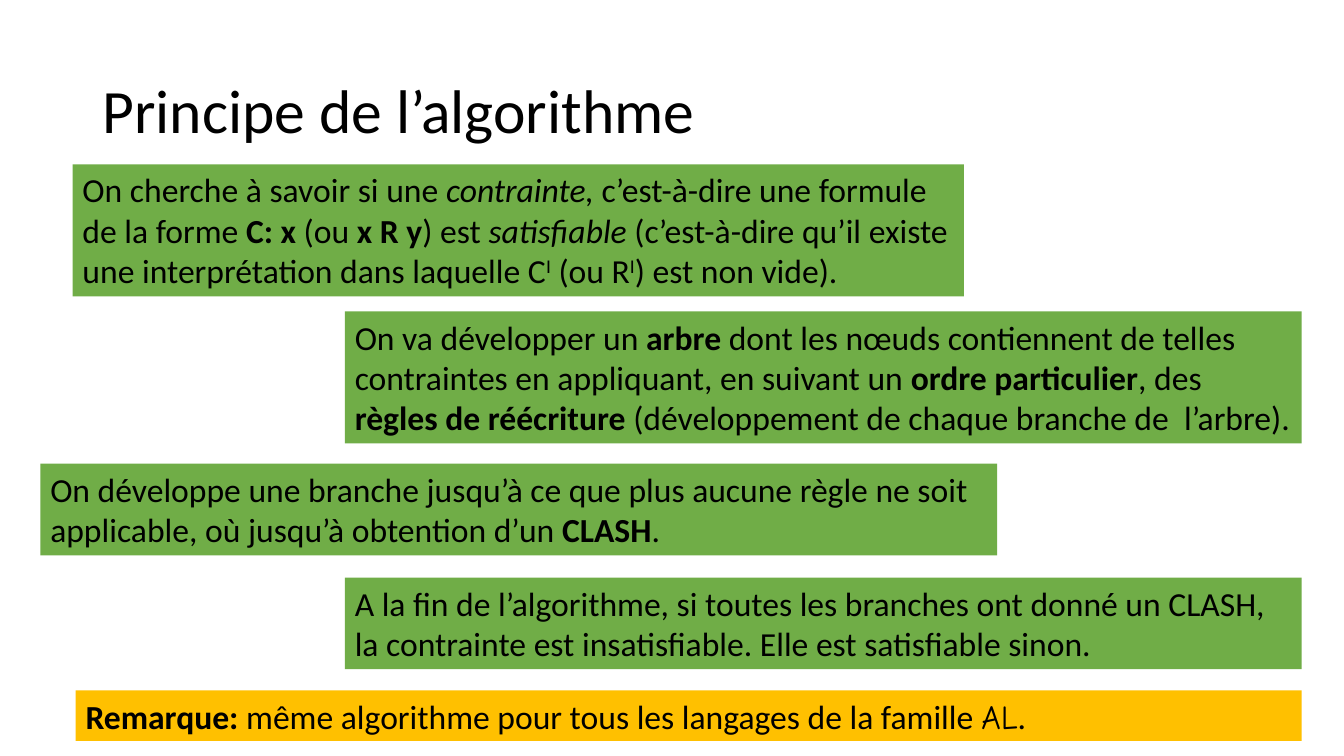
"""Builds the slide that explains the principle of the algorithm."""
from pptx import Presentation
from pptx.dml.color import RGBColor
from pptx.enum.shapes import MSO_SHAPE
from pptx.enum.text import MSO_ANCHOR, MSO_AUTO_SIZE, PP_ALIGN
from pptx.util import Pt

RECT = MSO_SHAPE.RECTANGLE
TOP, MIDDLE = MSO_ANCHOR.TOP, MSO_ANCHOR.MIDDLE
LEFT = PP_ALIGN.LEFT
GROW = MSO_AUTO_SIZE.SHAPE_TO_FIT_TEXT

PX = 9144
SLIDE_W, SLIDE_H = 1333, 750
GREEN, AMBER, BLACK = "70AD47", "FFC000", "000000"
BODY_FONT, LOGIC_FONT = "Calibri", "Comic Neue"
BODY_SIZE, TITLE_SIZE = 24, 44

TITLE = (92, 40, 1150, 145, [("Principe de l’algorithme", "")])

BOXES = [
    (72, 163, 884, 131, GREEN, [
        ("On cherche à savoir si une ", ""),
        ("contrainte, ", "italic"),
        ("c’est-à-dire une formule de la forme ", ""),
        ("C: x ", "bold"),
        ("(ou ", ""),
        ("x R y", "bold"),
        (") est ", ""),
        ("satisfiable", "italic"),
        (" (c’est-à-dire qu’il existe une interprétation dans laquelle C", ""),
        ("I", "super"),
        (" (ou R", ""),
        ("I", "super"),
        (") est non vide).", ""),
    ]),
    (342, 309, 949, 131, GREEN, [
        ("On va développer un ", ""),
        ("arbre", "bold"),
        (" dont les nœuds contiennent de telles contraintes en appliquant, en suivant un ", ""),
        ("ordre particulier", "bold"),
        (", des ", ""),
        ("règles de réécriture ", "bold"),
        ("(développement de chaque branche de  l’arbre).", ""),
    ]),
    (40, 460, 949, 91, GREEN, [
        ("On développe une branche jusqu’à ce que plus aucune règle ne soit applicable, "
         "où jusqu’à obtention d’un ", ""),
        ("CLASH", "bold"),
        (".", ""),
    ]),
    (342, 573, 949, 91, GREEN, [
        ("A la fin de l’algorithme, si toutes les branches ont donné un CLASH, "
         "la contrainte est insatisfiable. Elle est satisfiable sinon.", ""),
    ]),
    (75, 685, 1216, 50, AMBER, [
        ("Remarque: ", "bold"),
        ("même algorithme pour tous les langages de la famille ", ""),
        ("AL", "logic"),
        (".", ""),
    ]),
]


def color(value):
    return RGBColor.from_string(value)


def emu(*lengths):
    return [length * PX for length in lengths]


def write(tf, runs, size, anchor):
    tf.word_wrap = True
    tf.vertical_anchor = anchor
    p = tf.paragraphs[0]
    p.alignment = LEFT
    for text, style in runs:
        r = p.add_run()
        r.text = text
        r.font.size = Pt(size)
        r.font.name = LOGIC_FONT if style == "logic" else BODY_FONT
        r.font.bold = style == "bold"
        r.font.italic = style == "italic"
        r.font.color.rgb = color(BLACK)
        if style == "super":
            r._r.get_or_add_rPr().set("baseline", "30000")
    return p


def add_title(s):
    x, y, w, h, runs = TITLE
    sp = s.shapes.add_textbox(*emu(x, y, w, h))
    p = write(sp.text_frame, runs, TITLE_SIZE, MIDDLE)
    p.line_spacing = 0.9


def add_box(s, x, y, w, h, fill, runs):
    sp = s.shapes.add_shape(RECT, *emu(x, y, w, h))
    sp.shadow.inherit = False
    sp.fill.solid()
    sp.fill.fore_color.rgb = color(fill)
    sp.line.fill.background()
    write(sp.text_frame, runs, BODY_SIZE, TOP)
    sp.text_frame.auto_size = GROW


def main():
    prs = Presentation()
    prs.slide_width, prs.slide_height = emu(SLIDE_W, SLIDE_H)
    s = prs.slides.add_slide(prs.slide_layouts[6])
    add_title(s)
    for box in BOXES:
        add_box(s, *box)
    prs.save("out.pptx")


if __name__ == "__main__":
    main()
